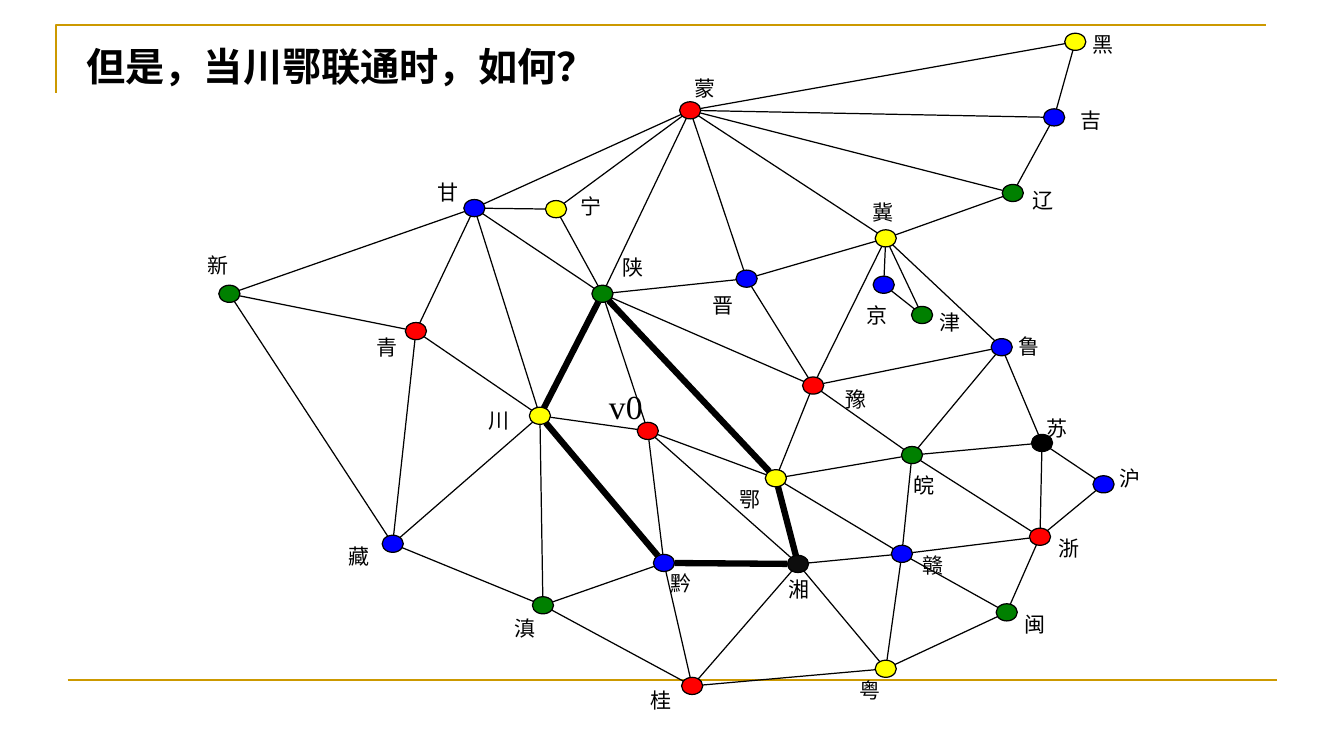
from math import hypot

from lxml.etree import SubElement
from pptx import Presentation
from pptx.dml.color import RGBColor
from pptx.enum.shapes import MSO_CONNECTOR as Connector, MSO_SHAPE as Shape
from pptx.enum.text import MSO_AUTO_SIZE as AutoSize
from pptx.oxml.ns import qn
from pptx.util import Inches, Pt

COLORS = {
    "gold": "CC9900",
    "black": "000000",
    "soft black": "0D0D0D",
    "red": "FF0000",
    "blue": "0000FF",
    "green": "008000",
    "yellow": "FFFF00",
}
LABEL_FONT = "Noto Sans CJK SC"
THIN, RULE, THICK = 0.88, 1.5, 4.5
DOT_SIZE = (0.21, 0.17)

PROVINCES = {
    "青": ("red", (4.02, 3.2), (3.73, 3.32)),
    "甘": ("blue", (4.6, 1.98), (4.34, 1.78)),
    "宁": ("yellow", (5.41, 1.99), (5.76, 1.92)),
    "川": ("yellow", (5.25, 4.04), (4.85, 4.04)),
    "鄂": ("yellow", (7.59, 4.66), (7.33, 4.83)),
    "皖": ("green", (8.94, 4.43), (9.06, 4.69)),
    "晋": ("blue", (7.3, 2.68), (7.07, 2.9)),
    "豫": ("red", (7.96, 3.74), (8.39, 3.83)),
    "京": ("blue", (8.66, 2.74), (8.59, 3)),
    "津": ("green", (9.04, 3.04), (9.32, 3.07)),
    "冀": ("yellow", (8.68, 2.28), (8.65, 1.98)),
    "蒙": ("red", (6.74, 1.01), (6.89, 0.75)),
    "黑": ("yellow", (10.56, 0.33), (10.84, 0.31)),
    "吉": ("blue", (10.35, 1.08), (10.72, 1.07)),
    "辽": ("green", (9.94, 1.83), (10.24, 1.86)),
    "鲁": ("blue", (9.83, 3.36), (10.1, 3.31)),
    "赣": ("blue", (8.84, 5.41), (9.15, 5.48)),
    "苏": ("black", (10.23, 4.31), (10.38, 4.12)),
    "沪": ("blue", (10.84, 4.72), (11.1, 4.62)),
    "浙": ("red", (10.21, 5.24), (10.5, 5.31)),
    "闽": ("green", (9.88, 5.99), (10.16, 6.07)),
    "粤": ("yellow", (8.68, 6.55), (8.53, 6.72)),
    "湘": ("soft black", (7.81, 5.51), (7.82, 5.72)),
    "桂": ("red", (6.76, 6.72), (6.45, 6.82)),
    "藏": ("blue", (3.79, 5.31), (3.46, 5.39)),
    "滇": ("green", (5.28, 5.92), (5.1, 6.11)),
    "黔": ("blue", (6.48, 5.5), (6.65, 5.66)),
    "新": ("green", (2.17, 2.83), (2.06, 2.51)),
    "陕": ("green", (5.87, 2.83), (6.17, 2.52)),
}
CENTER_DOT = (6.32, 4.19)
DOT_PLACES = {name: dot for name, (_, dot, _) in PROVINCES.items()}
DOT_PLACES["v"] = CENTER_DOT

BORDERS = """
    黑吉 蒙黑 蒙吉 吉辽 蒙辽 辽冀 蒙冀 冀京 冀津 冀鲁 晋冀 冀豫 京津
    鲁豫 鲁皖 鲁苏 陕晋 晋豫 蒙晋 蒙陕 蒙宁 甘蒙 新甘 新青 新藏 青藏
    甘宁 宁陕 青川 甘川 陕川 陕v 川v v鄂 豫鄂 陕鄂 豫皖 鄂皖 皖苏 苏沪
    藏川 藏滇 川黔 v黔 滇黔 滇桂 黔桂 湘桂 桂粤 黔湘 v湘 鄂湘 鄂赣 湘赣
    皖赣 皖浙 赣浙 赣闽 湘粤 赣粤 粤闽 陕豫 沪浙 浙闽 川滇 甘青 苏浙 甘陕
""".split()
CYCLE = {"陕川", "陕鄂", "川黔", "黔湘", "鄂湘"}


class MapSlide:
    def __init__(self, page):
        self.shapes = page.shapes

    def color(self, name):
        return RGBColor.from_string(COLORS[name])

    def stroke(self, line, color, width):
        line.color.rgb = self.color(color)
        line.width = Pt(width)

    def line(self, ends, width, color="black"):
        link = self.shapes.add_connector(Connector.STRAIGHT, *map(Inches, ends))
        self.stroke(link.line, color, width)
        SubElement(link._element.spPr, qn("a:effectLst"))

    def border(self, pair):
        wide, high = DOT_SIZE
        (x1, y1), (x2, y2) = (
            (x + wide / 2, y + high / 2) for x, y in map(DOT_PLACES.get, pair)
        )
        dx, dy = x2 - x1, y2 - y1
        share = 1 / hypot(dx / (wide / 2), dy / (high / 2))
        dx, dy = dx * share, dy * share
        self.line((x1 + dx, y1 + dy, x2 - dx, y2 - dy),
                  THICK if pair in CYCLE else THIN)

    def corner(self, points, width, color):
        start, *others = [(Inches(x), Inches(y)) for x, y in points]
        builder = self.shapes.build_freeform(*start)
        builder.add_line_segments(others, close=False)
        outline = builder.convert_to_shape()
        outline.shadow.inherit = False
        outline.fill.background()
        self.stroke(outline.line, color, width)

    def text(self, words, place, size, font, points, bold=False, insets=(0, 0)):
        box = self.shapes.add_textbox(*map(Inches, place + size))
        frame = box.text_frame
        frame.word_wrap = False
        frame.auto_size = AutoSize.SHAPE_TO_FIT_TEXT
        frame.margin_left = frame.margin_right = Inches(insets[0])
        frame.margin_top = frame.margin_bottom = Inches(insets[1])
        para = frame.paragraphs[0]
        para.text = words
        para.font.size = Pt(points)
        para.font.bold = bold
        para.font.color.rgb = self.color("black")
        para.font.name = font
        defaults = para._p.pPr.find(qn("a:defRPr"))
        SubElement(defaults, qn("a:ea"), typeface=font)

    def dot(self, color, place):
        dot = self.shapes.add_shape(Shape.OVAL, *map(Inches, place + DOT_SIZE))
        dot.shadow.inherit = False
        dot.fill.solid()
        dot.fill.fore_color.rgb = self.color(color)
        self.stroke(dot.line, "black", THIN)

    def province(self, name, color, dot_place, label_place):
        self.dot(color, dot_place)
        self.text(name, label_place, (0.21, 0.25), LABEL_FONT, 15)


def main():
    deck = Presentation()
    deck.slide_width, deck.slide_height = Inches(13.33), Inches(7.5)
    page = deck.slides.add_slide(deck.slide_layouts[6])
    chart = MapSlide(page)

    chart.corner([(0.56, 0.92), (0.56, 0.25), (12.56, 0.25)], RULE, "gold")
    chart.line((0.67, 6.75, 12.67, 6.75), RULE, "gold")
    for name, details in PROVINCES.items():
        chart.province(name, *details)
    chart.dot("red", CENTER_DOT)
    chart.text("v0", (6.04, 3.83), (0.34, 0.4), "Times New Roman", 24)
    for pair in BORDERS:
        chart.border(pair)
    chart.text("但是，当川鄂联通时，如何？", (0.76, 0.37), (5.33, 0.57),
               "Arial", 28, bold=True, insets=(0.1, 0.05))
    deck.save("out.pptx")


if __name__ == "__main__":
    main()
